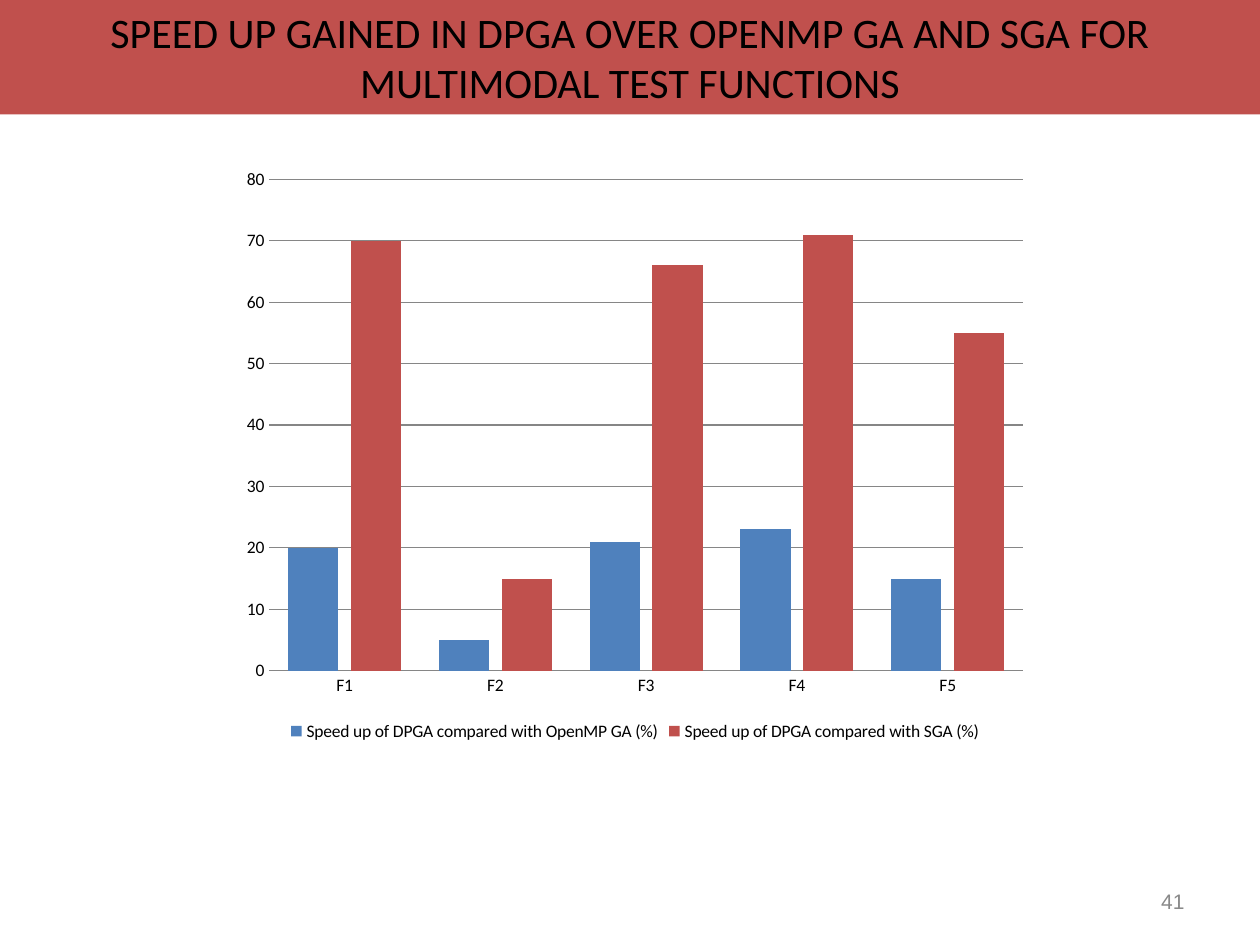
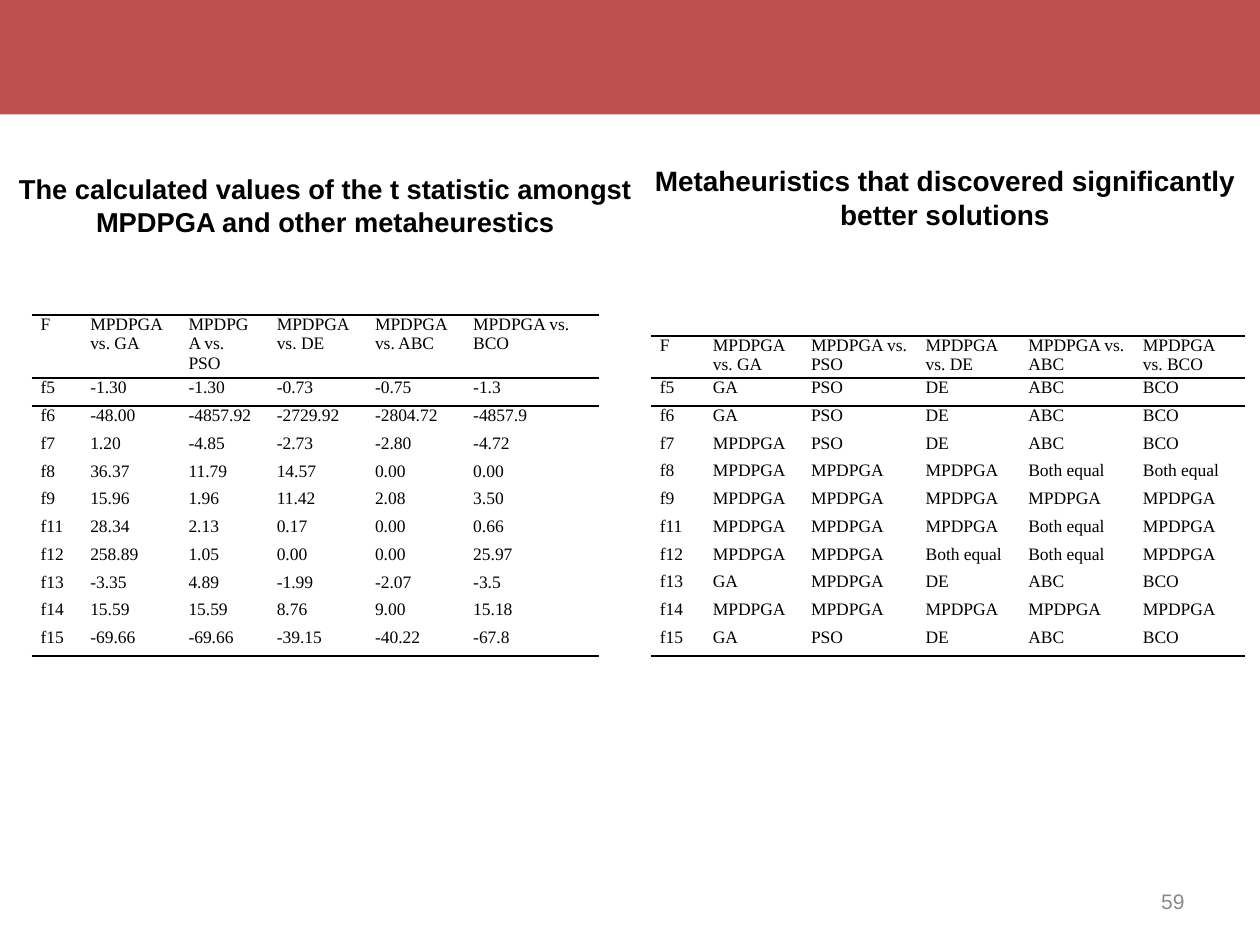
from lxml import etree
from pptx import Presentation
from pptx.chart.data import CategoryChartData
from pptx.dml.color import RGBColor
from pptx.enum.chart import XL_CHART_TYPE, XL_LEGEND_POSITION, XL_TICK_MARK
from pptx.enum.shapes import MSO_SHAPE
from pptx.enum.text import MSO_ANCHOR, PP_ALIGN
from pptx.oxml.ns import qn
from pptx.util import Cm, Pt

BLACK = RGBColor(0x00, 0x00, 0x00)
RED = RGBColor(0xC0, 0x50, 0x4D)
BLUE = RGBColor(0x4F, 0x81, 0xBD)
GRID_GREY = RGBColor(0x86, 0x86, 0x86)
NUMBER_GREY = RGBColor(0x89, 0x89, 0x89)
PLAIN_TABLE_STYLE = "{2D5ABB26-0587-4C30-8999-92F81FD0307C}"
BODY_ROW_HEIGHT = Cm(0.56)


def write(text_frame, text, size, font="Arial", color=BLACK, bold=False,
          align=PP_ALIGN.CENTER, anchor=MSO_ANCHOR.TOP):
    text_frame.word_wrap = True
    text_frame.vertical_anchor = anchor
    text_frame.text = text
    paragraph = text_frame.paragraphs[0]
    paragraph.alignment = align
    for run in paragraph.runs:
        run.font.size = Pt(size)
        run.font.name = font
        run.font.bold = bold
        run.font.color.rgb = color


def add_rule(cell, side):
    """Draw a black 1 pt border on one side of a cell ("T" or "B")."""
    properties = cell._tc.get_or_add_tcPr()
    line = etree.Element(qn(f"a:ln{side}"), w=str(Pt(1)))
    fill = etree.SubElement(line, qn("a:solidFill"))
    etree.SubElement(fill, qn("a:srgbClr"), val=str(BLACK))
    properties.insert(0, line)


presentation = Presentation()
presentation.slide_width = Cm(25.4)
presentation.slide_height = Cm(19.05)

# Shared band and slide number
slides = []
for band_title, number in [
    ("SPEED UP GAINED IN DPGA OVER OPENMP GA AND SGA FOR MULTIMODAL TEST FUNCTIONS", "41"),
    ("", "59"),
]:
    slide = presentation.slides.add_slide(presentation.slide_layouts[6])
    band = slide.shapes.add_shape(MSO_SHAPE.RECTANGLE, 0, 0, presentation.slide_width, Cm(2.31))
    band.shadow.inherit = False
    band.fill.solid()
    band.fill.fore_color.rgb = RED
    band.line.fill.background()
    write(band.text_frame, band_title, 24, "Calibri")
    number_box = slide.shapes.add_textbox(Cm(18.2), Cm(17.66), Cm(5.93), Cm(1.01))
    write(number_box.text_frame, number, 12, color=NUMBER_GREY,
          align=PP_ALIGN.RIGHT, anchor=MSO_ANCHOR.MIDDLE)
    slides.append(slide)
chart_slide, table_slide = slides

# Speed-up chart
speed_ups = CategoryChartData()
speed_ups.categories = ["F1", "F2", "F3", "F4", "F5"]
speed_ups.add_series("Speed up of DPGA compared with OpenMP GA (%)", (20, 5, 21, 23, 15))
speed_ups.add_series("Speed up of DPGA compared with SGA (%)", (70, 15, 66, 71, 55))
chart = chart_slide.shapes.add_chart(
    XL_CHART_TYPE.COLUMN_CLUSTERED, Cm(4.65), Cm(3.18), Cm(16.3), Cm(11.86), speed_ups).chart
chart.has_title = False
chart.font.size = Pt(10)
chart.font.name = "Calibri"
chart.font.color.rgb = BLACK
chart.has_legend = True
chart.legend.position = XL_LEGEND_POSITION.BOTTOM
chart.legend.include_in_layout = False

plot = chart.plots[0]
plot.gap_width = 75
plot.overlap = -25
plot.vary_by_categories = False
for series, color in zip(plot.series, (BLUE, RED)):
    series.format.fill.solid()
    series.format.fill.fore_color.rgb = color

category_axis, value_axis = chart.category_axis, chart.value_axis
for axis in (category_axis, value_axis):
    axis.major_tick_mark = XL_TICK_MARK.NONE
    axis.minor_tick_mark = XL_TICK_MARK.NONE
value_axis.minimum_scale = 0
value_axis.maximum_scale = 80
value_axis.major_unit = 10
value_axis.format.line.fill.background()
value_axis.has_major_gridlines = True
for line in (category_axis.format.line, value_axis.major_gridlines.format.line):
    line.color.rgb = GRID_GREY
    line.width = Pt(0.75)

# Comparison tables
header = ["F"] + [f"MPDPGA vs. {rival}" for rival in ("GA", "PSO", "DE", "ABC", "BCO")]
functions = ["f5", "f6", "f7", "f8", "f9", "f11", "f12", "f13", "f14", "f15"]
t_statistics = [
    ("-1.30", "-1.30", "-0.73", "-0.75", "-1.3"),
    ("-48.00", "-4857.92", "-2729.92", "-2804.72", "-4857.9"),
    ("1.20", "-4.85", "-2.73", "-2.80", "-4.72"),
    ("36.37", "11.79", "14.57", "0.00", "0.00"),
    ("15.96", "1.96", "11.42", "2.08", "3.50"),
    ("28.34", "2.13", "0.17", "0.00", "0.66"),
    ("258.89", "1.05", "0.00", "0.00", "25.97"),
    ("-3.35", "4.89", "-1.99", "-2.07", "-3.5"),
    ("15.59", "15.59", "8.76", "9.00", "15.18"),
    ("-69.66", "-69.66", "-39.15", "-40.22", "-67.8"),
]
OURS, EQUAL = "MPDPGA", "Both equal"
better_solutions = [
    ("GA", "PSO", "DE", "ABC", "BCO"),
    ("GA", "PSO", "DE", "ABC", "BCO"),
    (OURS, "PSO", "DE", "ABC", "BCO"),
    (OURS, OURS, OURS, EQUAL, EQUAL),
    (OURS, OURS, OURS, OURS, OURS),
    (OURS, OURS, OURS, EQUAL, OURS),
    (OURS, OURS, EQUAL, EQUAL, OURS),
    ("GA", OURS, "DE", "ABC", "BCO"),
    (OURS, OURS, OURS, OURS, OURS),
    ("GA", "PSO", "DE", "ABC", "BCO"),
]
tables = [
    (t_statistics, 0.64, 6.35, 1.27, (1, 1.98, 1.78, 1.98, 1.98, 2.71)),
    (better_solutions, 13.12, 6.77, 0.85, (1.07, 1.98, 2.31, 2.07, 2.31, 2.23)),
]
for results, left, top, header_height, widths in tables:
    rows = [header] + [[name, *values] for name, values in zip(functions, results)]
    height = Cm(header_height) + BODY_ROW_HEIGHT * len(results)
    table = table_slide.shapes.add_table(
        len(rows), len(header), Cm(left), Cm(top), Cm(sum(widths)), height).table
    table.first_row = False
    table.horz_banding = False
    table._tbl.tblPr.find(qn("a:tableStyleId")).text = PLAIN_TABLE_STYLE
    for column, width in zip(table.columns, widths):
        column.width = Cm(width)
    for row_index, values in enumerate(rows):
        table.rows[row_index].height = BODY_ROW_HEIGHT if row_index else Cm(header_height)
        for column_index, value in enumerate(values):
            cell = table.cell(row_index, column_index)
            cell.margin_left = cell.margin_right = Cm(0.18)
            cell.margin_top = cell.margin_bottom = 0
            cell.fill.background()
            write(cell.text_frame, value, 10, "Times New Roman", align=PP_ALIGN.LEFT)
            cell.text_frame.paragraphs[0].space_before = Pt(3)
            if row_index in (0, len(results)):
                add_rule(cell, "B")
            if row_index in (0, 1):
                add_rule(cell, "T")

# Table headings
headings = [
    ("The calculated values of the t statistic amongst MPDPGA and other metaheurestics",
     15.6, MSO_ANCHOR.MIDDLE, (0, 2.97, 13.12, 2.33)),
    ("Metaheuristics that discovered significantly better solutions",
     16, MSO_ANCHOR.TOP, (12.7, 3.18, 12.7, 1.62)),
]
for text, size, anchor, place in headings:
    heading = table_slide.shapes.add_textbox(*map(Cm, place))
    write(heading.text_frame, text, size, bold=True, anchor=anchor)

presentation.save("out.pptx")
